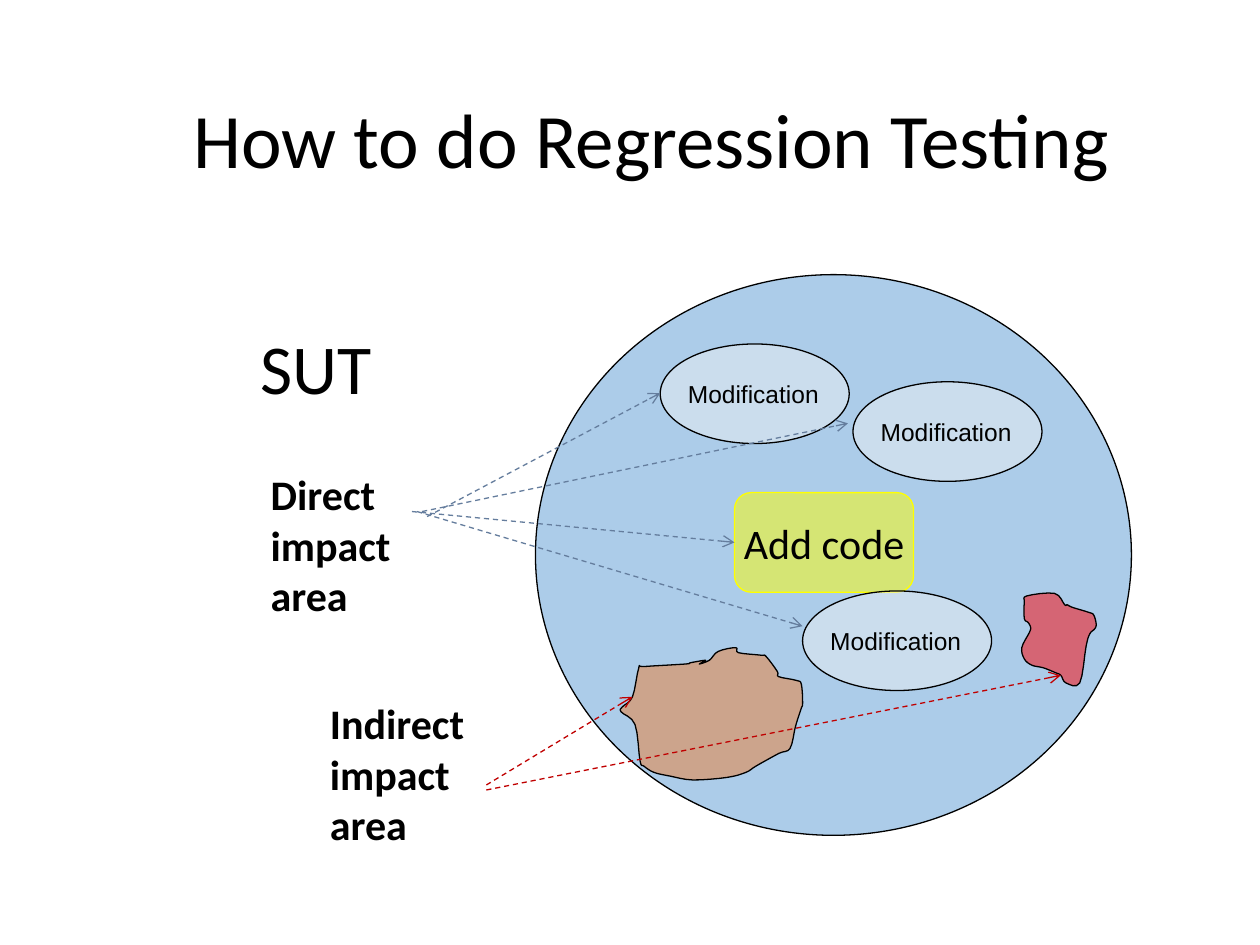
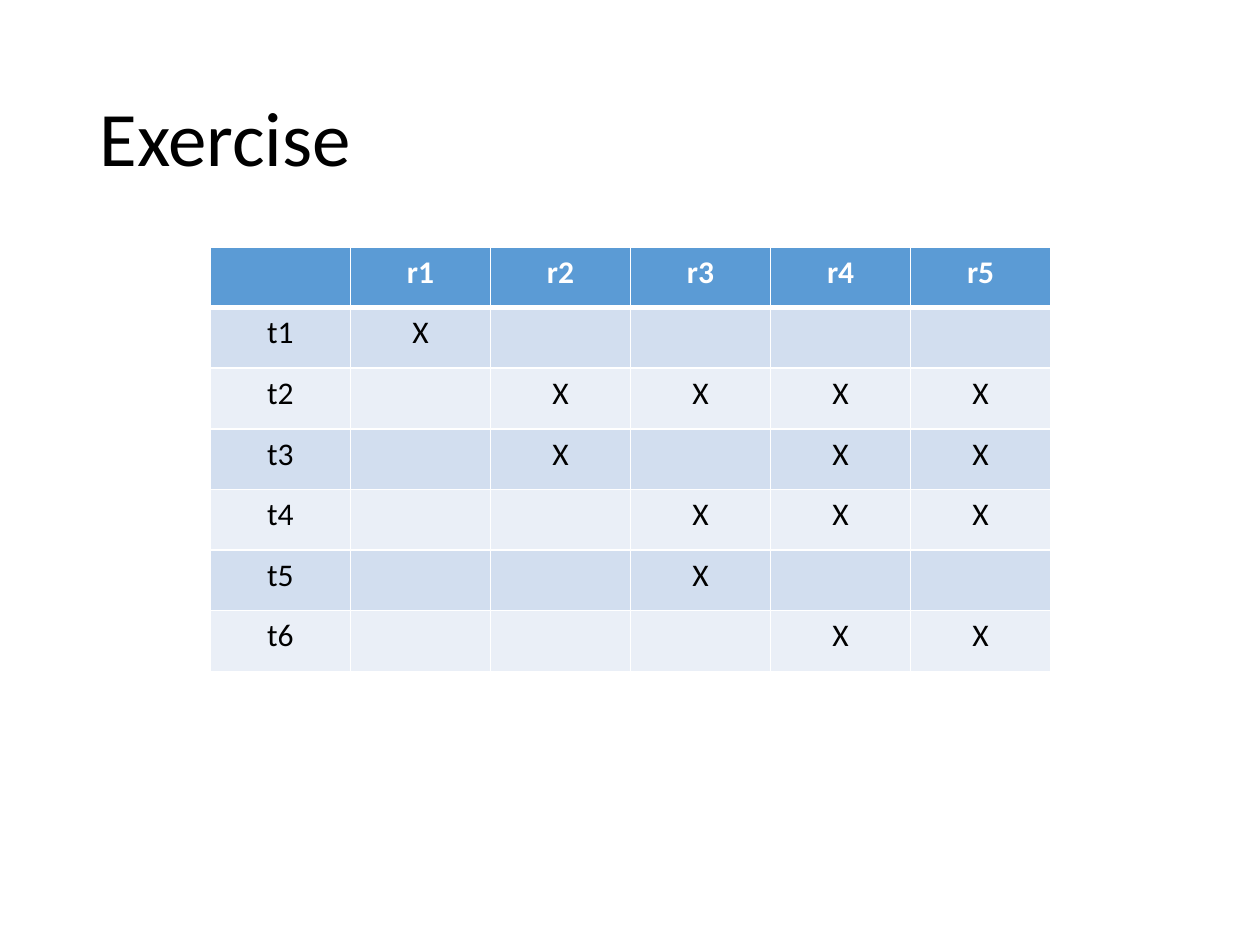
from dataclasses import dataclass
from pptx import Presentation, util as u
from pptx.dml.color import RGBColor
from pptx.enum import dml, shapes, text
from pptx.oxml import ns
from lxml import etree


@dataclass(frozen=True)
class Theme:
    face: str = "Calibri"
    plain: str = "Arial"
    ink: str = "000000"
    white: str = "FFFFFF"
    blue: str = "5B9BD5"
    mist: str = "EBEEF2"
    yellow: str = "FFFF00"
    red: str = "FF0000"
    orange: str = "ED7D31"
    slate: str = "657D9D"
    wine: str = "C00000"
    bands: tuple = ("D2DEEF", "EAEFF7")
    title: int = 44
    large: int = 40
    body: int = 24
    cell: int = 18
    small: int = 14
    line: float = 0.75


T = Theme()
COLS, ROWS = 100, 75
WIDTH, HEIGHT = u.Inches(10), u.Inches(7.5)
OVAL = (15, 7.9)
CENTER = text.PP_ALIGN.CENTER
LEFT = text.PP_ALIGN.LEFT


def col(n):
    return round(n * WIDTH / COLS)


def row(n):
    return round(n * HEIGHT / ROWS)


def box(x, y, w, h):
    return col(x), row(y), col(w), row(h)


def rgb(code):
    return RGBColor.from_string(code)


def sub(node, tag, **attrs):
    return etree.SubElement(node, ns.qn(tag), **attrs)


def write(frame, words, size, face=T.face, tint=T.ink, bold=False, align=LEFT):
    para = frame.paragraphs[0]
    para.alignment = align
    if words:
        para.add_run().text = words
    font = para.font
    font.name, font.size, font.bold = face, u.Pt(size), bold
    font.color.rgb = rgb(tint)
    return para


def title(slide, words, area, align):
    head = slide.shapes.title
    head.left, head.top, head.width, head.height = box(*area)
    frame = head.text_frame
    frame.auto_size = text.MSO_AUTO_SIZE.NONE
    frame.word_wrap = True
    frame.vertical_anchor = text.MSO_ANCHOR.MIDDLE
    return write(frame, words, T.title, align=align)


def label(slide, words, area, size, bold=False):
    frame = slide.shapes.add_textbox(*box(*area)).text_frame
    frame.word_wrap = True
    write(frame, words, size, bold=bold)


def paint(shape, fill, edge=T.ink):
    shape.shadow.inherit = False
    shape.fill.solid()
    shape.fill.fore_color.rgb = rgb(fill)
    tint = shape.fill._xPr.find(".//" + ns.qn("a:srgbClr"))
    sub(tint, "a:alpha", val="50000")
    shape.line.color.rgb = rgb(edge)
    shape.line.width = u.Pt(T.line)


def node(slide, kind, area, fill, edge=T.ink):
    shape = slide.shapes.add_shape(kind, *box(*area))
    paint(shape, fill, edge)
    frame = shape.text_frame
    frame.margin_left = frame.margin_right = 0
    frame.margin_top = frame.margin_bottom = 0
    frame.vertical_anchor = text.MSO_ANCHOR.MIDDLE
    return shape


def change(slide, x, y):
    oval = node(slide, shapes.MSO_SHAPE.OVAL, (x, y, *OVAL), T.mist)
    write(oval.text_frame, "Modification", T.small, T.plain)


def smooth(dots, steps=4):
    curve = []
    for i, b in enumerate(dots):
        a, c, d = dots[i - 1], dots[(i + 1) % len(dots)], dots[(i + 2) % len(dots)]
        for k in range(steps):
            t = k / steps
            curve.append(tuple(
                q + t * ((r - p) + t * ((2 * p - 5 * q + 4 * r - s)
                                       + t * (3 * q - p - 3 * r + s))) / 2
                for p, q, r, s in zip(a, b, c, d)))
    return [(col(x), row(y)) for x, y in curve]


def blob(slide, dots, fill):
    curve = smooth(dots)
    pen = slide.shapes.build_freeform(*curve[0])
    pen.add_line_segments(curve[1:], close=True)
    paint(pen.convert_to_shape(), fill)


def arrow(slide, start, end, tint, goal=None):
    link = slide.shapes.add_connector(
        shapes.MSO_CONNECTOR.STRAIGHT,
        col(start[0]), row(start[1]), col(end[0]), row(end[1]))
    if goal is not None:
        link.end_connect(goal, 1)
    link.line.color.rgb = rgb(tint)
    link.line.width = u.Pt(T.line)
    link.line.dash_style = dml.MSO_LINE.DASH
    sub(link.line._get_or_add_ln(), "a:tailEnd", type="arrow")
    sub(link._element.spPr, "a:effectLst")


def frame_cell(cell, top, base):
    props = cell._tc.get_or_add_tcPr()
    for i, (side, width) in enumerate(zip("LRTB", (1, 1, top, base))):
        edge = etree.Element(ns.qn("a:ln" + side), w=str(u.Pt(width)))
        sub(sub(edge, "a:solidFill"), "a:srgbClr", val=T.white)
        props.insert(i, edge)


def matrix(slide, heads, marks, area):
    count = len(marks) + 1
    table = slide.shapes.add_table(count, len(heads) + 1, *box(*area)).table
    table.first_row = table.horz_banding = False
    rows = [["", *heads]]
    rows += [[name, *("X" if h in hits else "" for h in heads)]
             for name, hits in marks.items()]
    for r, words in enumerate(rows):
        first = r == 0
        for c, word in enumerate(words):
            cell = table.cell(r, c)
            cell.fill.solid()
            cell.fill.fore_color.rgb = rgb(T.blue if first else T.bands[(r - 1) % 2])
            frame_cell(cell, 3 if r == 1 else 1, 3 if first else 1)
            write(cell.text_frame, word, T.cell, tint=T.white if first else T.ink,
                  bold=first, align=CENTER)


def impact(slide):
    title(slide, "How to do Regression Testing", (6.7, 4.7, 90, 12.5), CENTER)
    node(slide, shapes.MSO_SHAPE.OVAL, (42.5, 21.8, 47.3, 44.5), T.blue)
    code = node(slide, shapes.MSO_SHAPE.ROUNDED_RECTANGLE,
                (58.3, 39.1, 14.2, 7.9), T.yellow, T.yellow)
    write(code.text_frame, "Add code", T.body, align=CENTER)
    change(slide, 52.4, 27.3)
    blob(slide, [
        (84.5, 48), (83.7, 47.1), (81.5, 47.3), (81.3, 47.8), (81.3, 49.1),
        (81.6, 49.4), (81.8, 49.8), (81.7, 50.2), (81.1, 51.4), (81.3, 52.3),
        (81.9, 52.8), (82.8, 53), (83.8, 53.4), (84.2, 53.6), (84.6, 54.2),
        (85.7, 54.2), (86.2, 51.3), (86.5, 50.3), (86.9, 49.9), (87, 49.5),
        (86.8, 48.8), (86.4, 48.6), (85.1, 48.2), (84.7, 48)], T.red)
    blob(slide, [
        (56, 52.4), (54.8, 52.6), (54.4, 52.7), (51.1, 52.9), (50.7, 53),
        (50.2, 55.3), (49.4, 56.1), (49.3, 56.5), (50.4, 57.5), (50.8, 60.4),
        (51.1, 60.8), (51.9, 61.3), (53.2, 61.6), (55, 61.9), (57.7, 61.7),
        (59.2, 61.3), (60, 60.8), (61.8, 59.8), (62.7, 59.4), (63.1, 57.8),
        (63.3, 57.1), (63.6, 56.2), (63.7, 55.8), (63.6, 54.3), (63.2, 54),
        (61.8, 53.7), (61.7, 53.3), (60.8, 52.1), (60.4, 52), (58.6, 51.8),
        (58.4, 51.4), (57, 51.7), (56.3, 52.4), (55.5, 52.7)], T.orange)
    label(slide, "SUT", (19.7, 25.3, 18.1, 7.7), T.large)
    label(slide, "Direct impact area", (20.5, 36.7, 15, 13.1), T.body, True)
    label(slide, "Indirect impact area", (25.2, 54.9, 15, 13.1), T.body, True)
    for start, end, tint, goal in (
            ((33.9, 41), (52.4, 31.2), T.slate, None),
            ((32.7, 40.6), (58.3, 43), T.slate, code),
            ((33.5, 40.6), (67.3, 33.6), T.slate, None),
            ((33.1, 40.6), (63.7, 49.7), T.slate, None),
            ((38.6, 62.3), (50.2, 55.3), T.wine, None),
            ((38.6, 62.7), (84.2, 53.6), T.wine, None)):
        arrow(slide, start, end, tint, goal)
    change(slide, 67.7, 30.3)
    change(slide, 63.7, 46.9)


def drill(slide):
    para = title(slide, "Exercise", (6.9, 4, 86.2, 14.5), LEFT)
    para.line_spacing = 0.9
    matrix(slide, ["r1", "r2", "r3", "r4", "r5"], {
        "t1": {"r1"},
        "t2": {"r2", "r3", "r4", "r5"},
        "t3": {"r2", "r4", "r5"},
        "t4": {"r3", "r4", "r5"},
        "t5": {"r3"},
        "t6": {"r4", "r5"},
    }, (16.7, 19.6, 66.7, 33.7))


def main():
    deck = Presentation()
    deck.slide_width, deck.slide_height = WIDTH, HEIGHT
    for build in (impact, drill):
        build(deck.slides.add_slide(deck.slide_layouts[5]))
    deck.save("out.pptx")


if __name__ == "__main__":
    main()
